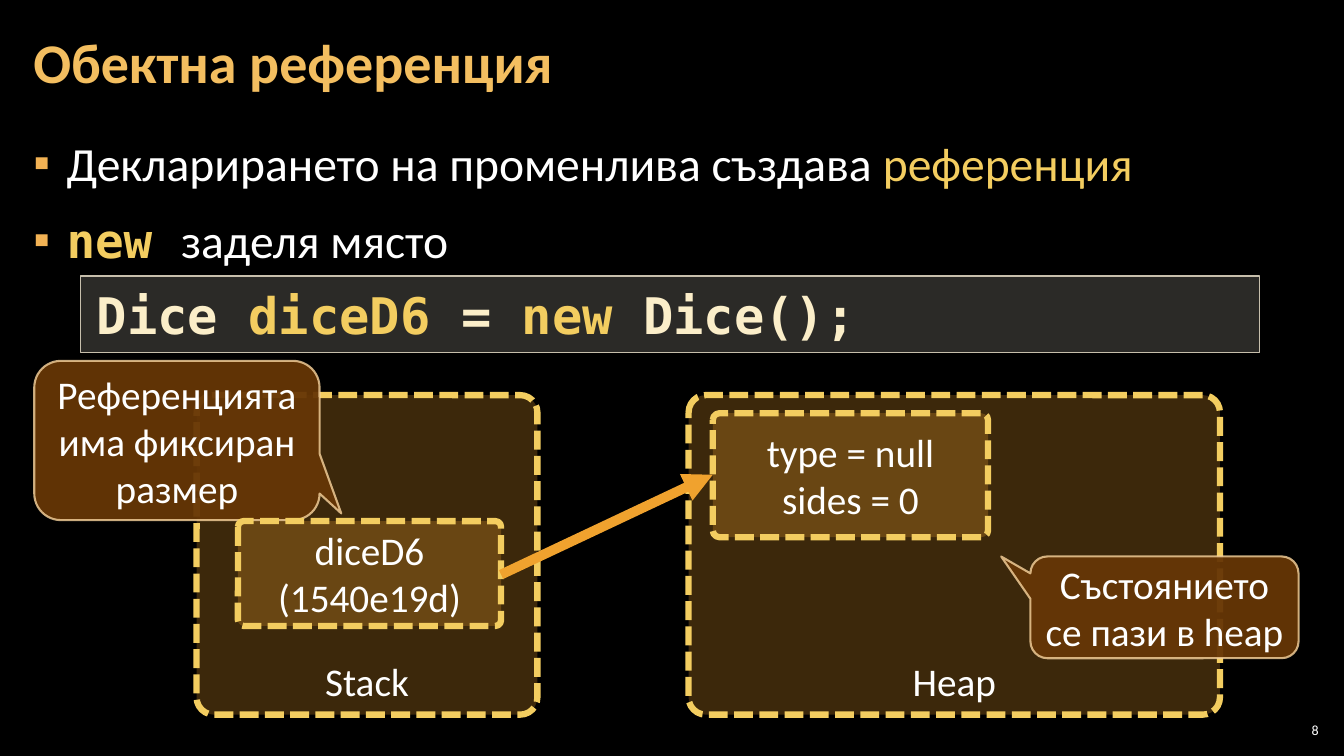
from dataclasses import dataclass

import pptx
import pptx.util
from lxml import etree
from pptx.dml.color import RGBColor
from pptx.enum.dml import MSO_LINE
from pptx.enum.shapes import MSO_CONNECTOR, MSO_SHAPE
from pptx.enum.text import MSO_ANCHOR, MSO_AUTO_SIZE, PP_ALIGN
from pptx.oxml.ns import qn
from pptx.util import Inches, Pt

BLACK = RGBColor(0x00, 0x00, 0x00)
WHITE = RGBColor(0xFF, 0xFF, 0xFF)
TITLE = RGBColor(0xF3, 0xBE, 0x60)
BULLET = RGBColor(0xF2, 0xB2, 0x54)
YELLOW = RGBColor(0xF3, 0xCD, 0x60)
ORANGE = RGBColor(0xF0, 0xA2, 0x2E)
BROWN = RGBColor(0x66, 0x36, 0x06)
TAN = RGBColor(0xF8, 0xD4, 0x9E)
CREAM = RGBColor(0xFB, 0xEE, 0xC9)
SAND = RGBColor(0xD9, 0xD5, 0xC7)
EDGE = RGBColor(0xC7, 0xBF, 0xAC)
SANS = "Calibri"
MONO = "DejaVu Sans Mono"


@dataclass
class Style:
    kind: MSO_SHAPE
    fill: RGBColor
    alpha: int
    line: RGBColor
    width: float
    dash: MSO_LINE = MSO_LINE.SOLID
    clear: int = 100


@dataclass
class Box:
    style: Style
    area: tuple[float, float, float, float]
    text: str
    adj: tuple[float, ...] = (0.054,)
    anchor: MSO_ANCHOR = MSO_ANCHOR.MIDDLE


@dataclass
class Part:
    text: str
    color: RGBColor
    face: str = SANS
    bold: bool = False


MEMORY = Style(MSO_SHAPE.ROUNDED_RECTANGLE, ORANGE, 25, YELLOW, 4.5,
               MSO_LINE.SQUARE_DOT)
NOTE = Style(MSO_SHAPE.ROUNDED_RECTANGULAR_CALLOUT, BROWN, 95, TAN, 1.5,
             clear=80)
CODE = Style(MSO_SHAPE.RECTANGLE, SAND, 20, EDGE, 1)

BOXES = [
    Box(MEMORY, (1.95, 3.92, 3.38, 3.17), "Stack", anchor=MSO_ANCHOR.BOTTOM),
    Box(NOTE, (0.34, 3.58, 2.83, 1.58), "Референцията има фиксиран размер",
        (0.576, 0.458, 0.167)),
    Box(MEMORY, (2.36, 5.17, 2.61, 1.04), "diceD6\n(1540e19d)"),
    Box(MEMORY, (6.83, 3.92, 5.27, 3.17), "Heap", anchor=MSO_ANCHOR.BOTTOM),
    Box(MEMORY, (7.07, 4.1, 2.73, 1.23), "type = null\nsides = 0"),
]
STATE = Box(NOTE, (10.22, 5.52, 2.66, 1.01), "Състоянието се пази в heap",
            (-0.609, -0.499, 0.167))

POINTS = [
    [Part("Декларирането на променлива създава ", WHITE),
     Part("референция", YELLOW)],
    [Part("new ", YELLOW, MONO, True), Part("заделя място", WHITE)],
]
SOURCE = [Part(text, color, MONO, True) for text, color in (
    ("Dice ", CREAM), ("diceD6", YELLOW), (" = ", CREAM),
    ("new", YELLOW), (" Dice();", CREAM))]


def set_font(font, size: float, color: RGBColor, face: str = SANS,
             bold: bool = False) -> None:
    font.name, font.size, font.bold = face, Pt(size), bold
    font.color.rgb = color


def set_alpha(owner, value: int) -> None:
    color = next(owner.iter(qn("a:srgbClr")))
    etree.SubElement(color, qn("a:alpha"), val=str(value * 1000))


def set_frame(frame, side: float, edge: float, anchor: MSO_ANCHOR) -> None:
    frame.word_wrap = True
    frame.auto_size = MSO_AUTO_SIZE.NONE
    frame.margin_left = frame.margin_right = Inches(side)
    frame.margin_top = frame.margin_bottom = Inches(edge)
    frame.vertical_anchor = anchor


def place(shape, area: tuple[float, float, float, float]) -> None:
    shape.left, shape.top, shape.width, shape.height = map(Inches, area)


def add_runs(para, parts: list[Part], size: float) -> None:
    for part in parts:
        run = para.add_run()
        run.text = part.text
        set_font(run.font, size, part.color, part.face, part.bold)


def add_panel(slide, style: Style, area: tuple[float, float, float, float]):
    shape = slide.shapes.add_shape(style.kind, *map(Inches, area))
    shape.shadow.inherit = False
    shape.fill.solid()
    shape.fill.fore_color.rgb = style.fill
    set_alpha(shape.fill._xPr.find(qn("a:solidFill")), style.alpha)
    shape.line.color.rgb = style.line
    shape.line.width = Pt(style.width)
    shape.line.dash_style = style.dash
    if style.clear < 100:
        set_alpha(shape.line._get_or_add_ln(), style.clear)
    return shape


def add_box(slide, box: Box) -> None:
    shape = add_panel(slide, box.style, box.area)
    for index, value in enumerate(box.adj):
        shape.adjustments[index] = value
    frame = shape.text_frame
    set_frame(frame, 0.1, 0.05, box.anchor)
    frame.text = box.text
    for para in frame.paragraphs:
        para.alignment = PP_ALIGN.CENTER
        set_font(para.font, 28, WHITE)


def add_point(para, parts: list[Part], first: bool) -> None:
    props = para._p.get_or_add_pPr()
    props.set("marL", str(Inches(0.33)))
    props.set("indent", str(-Inches(0.33)))
    tint = etree.SubElement(props, qn("a:buClr"))
    etree.SubElement(tint, qn("a:srgbClr"), val=str(BULLET))
    etree.SubElement(props, qn("a:buChar"), char="▪")
    para.line_spacing = 1.05
    para.space_before = Pt(0 if first else 6)
    para.space_after = Pt(6)
    add_runs(para, parts, 34)


def add_arrow(slide, start: tuple[float, float],
              end: tuple[float, float]) -> None:
    arrow = slide.shapes.add_connector(
        MSO_CONNECTOR.STRAIGHT, *map(Inches, start + end))
    arrow.line.color.rgb = ORANGE
    arrow.line.width = Pt(7)
    etree.SubElement(arrow.line._get_or_add_ln(), qn("a:tailEnd"),
                     type="triangle")
    etree.SubElement(arrow._element.spPr, qn("a:effectLst"))


def main() -> None:
    deck = pptx.Presentation()
    deck.slide_width, deck.slide_height = Inches(13.33), Inches(7.5)
    slide = deck.slides.add_slide(deck.slide_layouts[1])
    slide.background.fill.solid()
    slide.background.fill.fore_color.rgb = BLACK

    # Title
    title = slide.shapes.title
    place(title, (0.21, 0.04, 12.91, 1.21))
    set_frame(title.text_frame, 0.12, 0.04, MSO_ANCHOR.MIDDLE)
    title.text_frame.text = "Обектна референция"
    para = title.text_frame.paragraphs[0]
    para.alignment, para.line_spacing = PP_ALIGN.LEFT, 0.9
    set_font(para.font, 40, TITLE, bold=True)

    # Bullet list
    body = slide.placeholders[1]
    place(body, (0.21, 1.26, 12.91, 6.09))
    frame = body.text_frame
    set_frame(frame, 0.12, 0.04, MSO_ANCHOR.TOP)
    for index, parts in enumerate(POINTS):
        para = frame.add_paragraph() if index else frame.paragraphs[0]
        add_point(para, parts, index == 0)

    # Code line
    code = add_panel(slide, CODE, (0.8, 2.74, 11.69, 0.76))
    set_frame(code.text_frame, 0.16, 0.08, MSO_ANCHOR.TOP)
    para = code.text_frame.paragraphs[0]
    para.alignment = PP_ALIGN.LEFT
    add_runs(para, SOURCE, 36)

    # Memory diagram
    for box in BOXES:
        add_box(slide, box)
    add_arrow(slide, (4.97, 5.7), (7.07, 4.71))
    add_box(slide, STATE)

    # Slide number
    label = slide.shapes.add_textbox(*map(Inches, (12.65, 7.14, 0.47, 0.21)))
    set_frame(label.text_frame, 0.04, 0.04, MSO_ANCHOR.MIDDLE)
    label.text_frame.text = "8"
    para = label.text_frame.paragraphs[0]
    para.alignment = PP_ALIGN.RIGHT
    set_font(para.font, 10, WHITE)

    deck.save("out.pptx")


if __name__ == "__main__":
    main()
